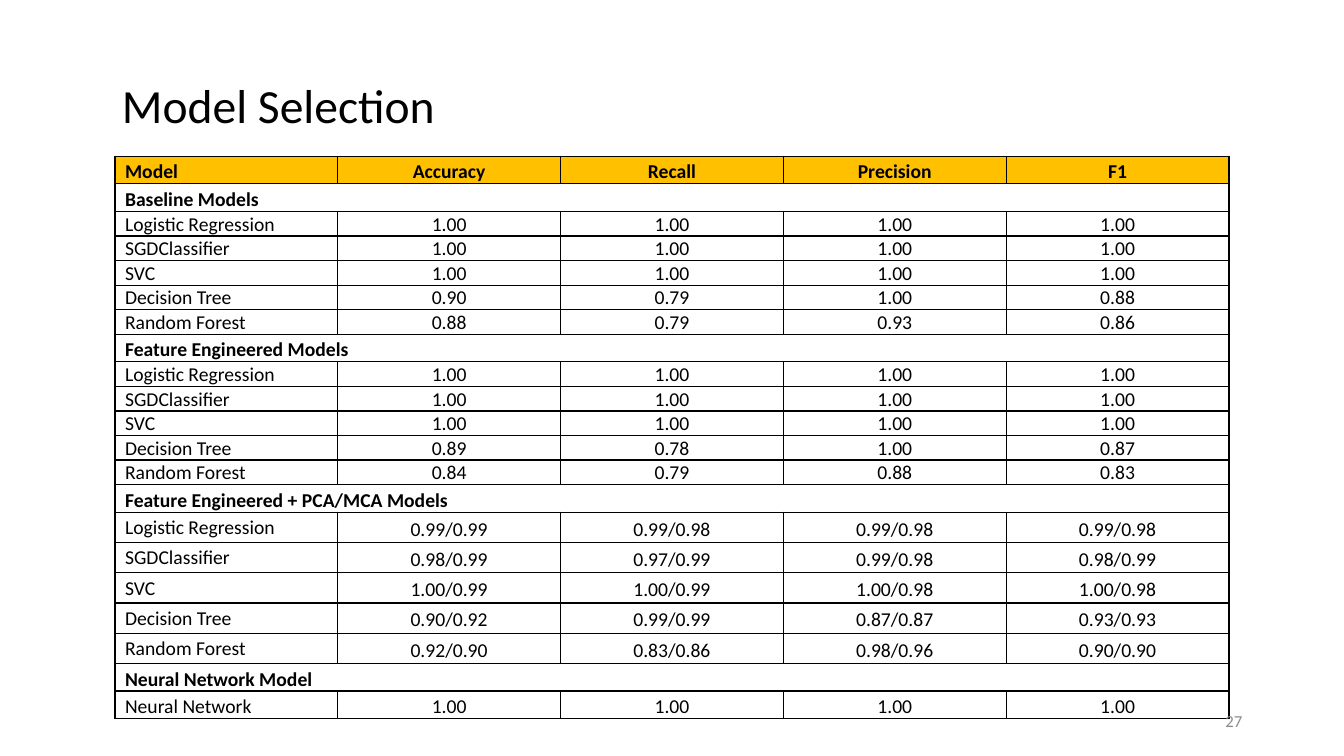
from dataclasses import dataclass

from lxml import etree
from pptx import Presentation
from pptx import util as u
from pptx.dml.color import RGBColor
from pptx.enum import text
from pptx.oxml import ns
from pptx.table import _Cell
from pptx.text.text import TextFrame

BLACK = RGBColor(0x00, 0x00, 0x00)
GOLD = RGBColor(0xFF, 0xC0, 0x00)
GRAY = RGBColor(0x8C, 0x8C, 0x8C)
FONT = "Calibri"
LEFT, CENTER, RIGHT = text.PP_ALIGN.LEFT, text.PP_ALIGN.CENTER, text.PP_ALIGN.RIGHT
COLUMN_WIDTH = 2.21
HEADING_HEIGHT = 0.26
TIGHT, LOOSE = 0.01, 0.04


@dataclass
class Section:
    heading: str
    scores: dict[str, list[str]]
    row_height: float
    name_inset: float = TIGHT
    score_inset: float = TIGHT


HEADERS = ["Model", "Accuracy", "Recall", "Precision", "F1"]
SECTIONS = [
    Section("Baseline Models", {
        "Logistic Regression": ["1.00", "1.00", "1.00", "1.00"],
        "SGDClassifier": ["1.00", "1.00", "1.00", "1.00"],
        "SVC": ["1.00", "1.00", "1.00", "1.00"],
        "Decision Tree": ["0.90", "0.79", "1.00", "0.88"],
        "Random Forest": ["0.88", "0.79", "0.93", "0.86"],
    }, 0.23),
    Section("Feature Engineered Models", {
        "Logistic Regression": ["1.00", "1.00", "1.00", "1.00"],
        "SGDClassifier": ["1.00", "1.00", "1.00", "1.00"],
        "SVC": ["1.00", "1.00", "1.00", "1.00"],
        "Decision Tree": ["0.89", "0.78", "1.00", "0.87"],
        "Random Forest": ["0.84", "0.79", "0.88", "0.83"],
    }, 0.23),
    Section("Feature Engineered + PCA/MCA Models", {
        "Logistic Regression": ["0.99/0.99", "0.99/0.98", "0.99/0.98", "0.99/0.98"],
        "SGDClassifier": ["0.98/0.99", "0.97/0.99", "0.99/0.98", "0.98/0.99"],
        "SVC": ["1.00/0.99", "1.00/0.99", "1.00/0.98", "1.00/0.98"],
        "Decision Tree": ["0.90/0.92", "0.99/0.99", "0.87/0.87", "0.93/0.93"],
        "Random Forest": ["0.92/0.90", "0.83/0.86", "0.98/0.96", "0.90/0.90"],
    }, 0.3, score_inset=LOOSE),
    Section("Neural Network Model", {
        "Neural Network": ["1.00", "1.00", "1.00", "1.00"],
    }, 0.26, LOOSE, LOOSE),
]


def write(tf: TextFrame, content: str, *, size: float = 14, color: RGBColor = BLACK,
          bold: bool = False, align: text.PP_ALIGN = LEFT) -> None:
    p = tf.paragraphs[0]
    p.alignment = align
    r = p.add_run()
    r.text = content
    r.font.name, r.font.size, r.font.bold = FONT, u.Pt(size), bold
    r.font.color.rgb = color


def add_borders(cell: _Cell) -> None:
    tc_pr = cell._tc.get_or_add_tcPr()
    for side in ("lnL", "lnR", "lnT", "lnB"):
        ln = etree.SubElement(tc_pr, ns.qn(f"a:{side}"), w=str(u.Pt(1)))
        fill = etree.SubElement(ln, ns.qn("a:solidFill"))
        etree.SubElement(fill, ns.qn("a:srgbClr"), val=str(BLACK))


def format_cell(cell: _Cell, inset: float, fill: RGBColor | None = None) -> None:
    cell.margin_left = cell.margin_right = u.Inches(0.1)
    cell.margin_top, cell.margin_bottom = u.Inches(inset), u.Inches(0)
    cell.vertical_anchor = text.MSO_ANCHOR.MIDDLE
    add_borders(cell)
    if fill is None:
        cell.fill.background()
    else:
        cell.fill.solid()
        cell.fill.fore_color.rgb = fill


def fill_row(cells: list[_Cell], values: list[str], name_inset: float, score_inset: float,
             *, bold: bool = False, fill: RGBColor | None = None) -> None:
    for i, (cell, value) in enumerate(zip(cells, values)):
        format_cell(cell, score_inset if i else name_inset, fill)
        write(cell.text_frame, value, bold=bold, align=CENTER if i else LEFT)


def add_score_table(s) -> None:
    heights = [HEADING_HEIGHT]
    for section in SECTIONS:
        heights += [HEADING_HEIGHT] + [section.row_height] * len(section.scores)
    columns = len(HEADERS)
    table = s.shapes.add_table(len(heights), columns, u.Inches(1.14), u.Inches(1.55),
                               u.Inches(COLUMN_WIDTH * columns),
                               u.Inches(sum(heights))).table
    table.first_row = table.horz_banding = False
    for column in table.columns:
        column.width = u.Inches(COLUMN_WIDTH)
    for row, height in zip(table.rows, heights):
        row.height = u.Inches(height)
    rows = iter(table.rows)
    fill_row(list(next(rows).cells), HEADERS, LOOSE, LOOSE, bold=True, fill=GOLD)
    for section in SECTIONS:
        cells = list(next(rows).cells)
        for cell in cells:
            format_cell(cell, LOOSE)
        cells[0].merge(cells[-1])
        write(cells[0].text_frame, section.heading, bold=True)
        for model, scores in section.scores.items():
            fill_row(list(next(rows).cells), [model, *scores],
                     section.name_inset, section.score_inset)


def main() -> None:
    prs = Presentation()
    prs.slide_width, prs.slide_height = u.Inches(13.33), u.Inches(7.5)
    s = prs.slides.add_slide(prs.slide_layouts[5])

    title = s.shapes.title
    title.left, title.top = u.Inches(1.11), u.Inches(0.7)
    title.width, title.height = u.Inches(10.78), u.Inches(0.67)
    title.text_frame.vertical_anchor = text.MSO_ANCHOR.TOP
    title.text_frame.auto_size = text.MSO_AUTO_SIZE.SHAPE_TO_FIT_TEXT
    write(title.text_frame, "Model Selection", size=34)

    add_score_table(s)

    number = s.shapes.add_textbox(u.Inches(9.42), u.Inches(6.95), u.Inches(3), u.Inches(0.4))
    number.text_frame.word_wrap = True
    number.text_frame.vertical_anchor = text.MSO_ANCHOR.MIDDLE
    write(number.text_frame, "27", size=12, color=GRAY, align=RIGHT)

    prs.save("out.pptx")


if __name__ == "__main__":
    main()
